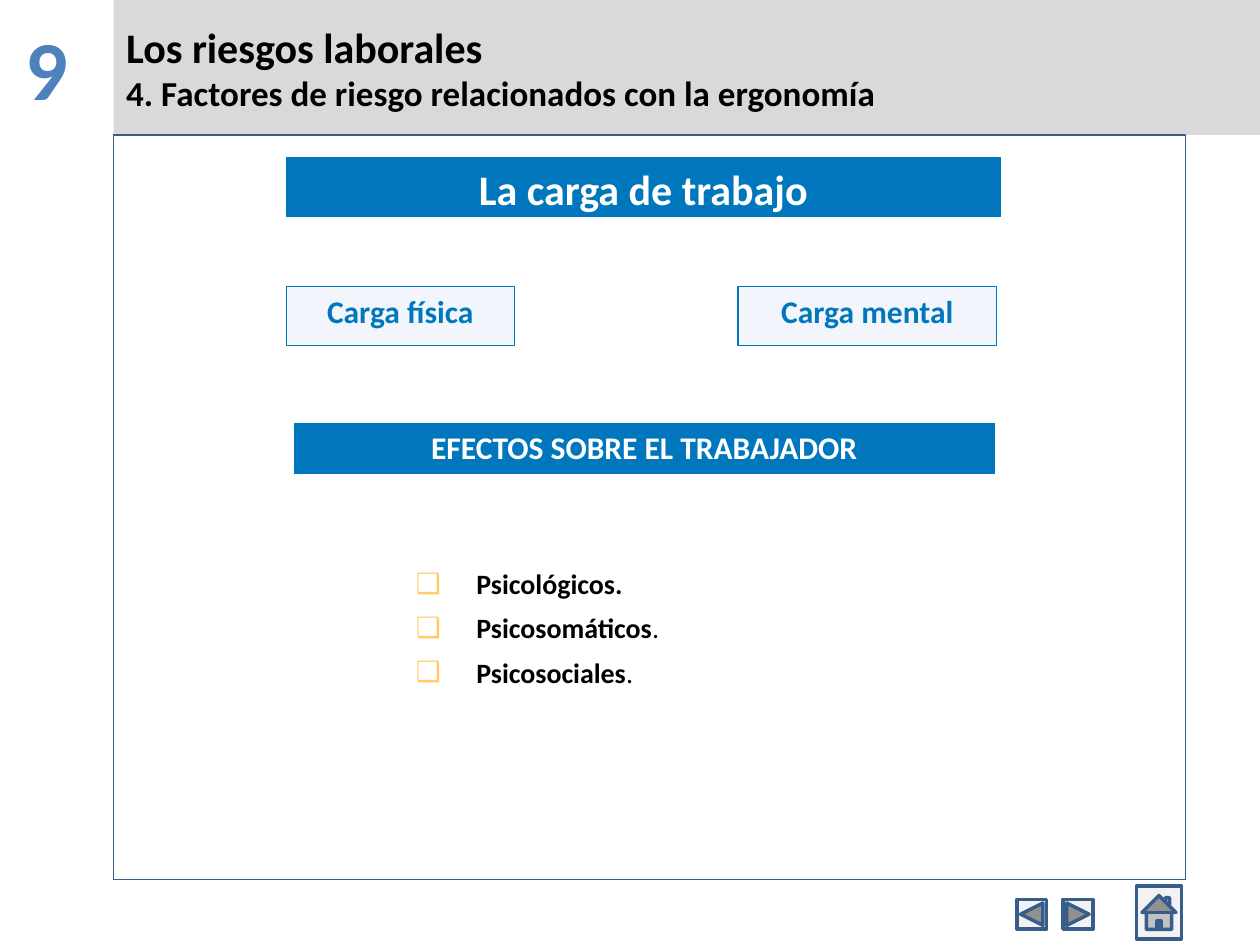
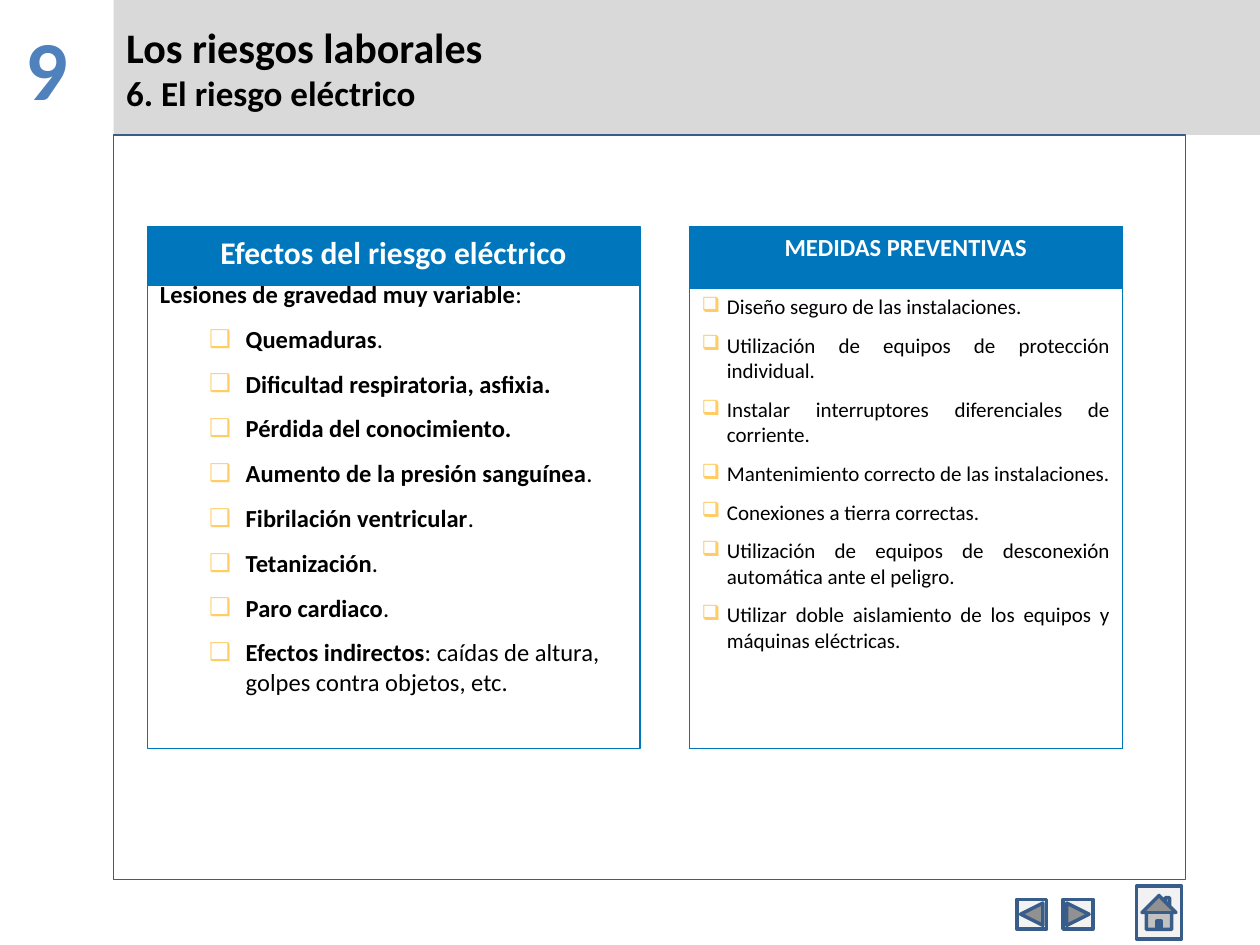
from lxml.etree import SubElement
from pptx import Presentation
from pptx.dml.color import RGBColor
from pptx.enum.shapes import MSO_SHAPE
from pptx.enum.text import MSO_ANCHOR, MSO_AUTO_SIZE, PP_ALIGN
from pptx.oxml.ns import qn
from pptx.util import Cm, Pt

BLUE = RGBColor(0x00, 0x77, 0xBD)
PALE_BLUE = RGBColor(0xF2, 0xF5, 0xFC)
NUMBER_BLUE = RGBColor(0x4F, 0x81, 0xBD)
OUTLINE_BLUE = RGBColor(0x38, 0x5D, 0x8A)
BAND_GRAY = RGBColor(0xD9, 0xD9, 0xD9)
BUTTON_GRAY = RGBColor(0xF2, 0xF2, 0xF2)
BULLET_YELLOW = RGBColor(0xFF, 0xCC, 0x66)
BLACK = RGBColor(0, 0, 0)
WHITE = RGBColor(0xFF, 0xFF, 0xFF)

FONT = "Calibri"
UNIT_TITLE = "Los riesgos laborales"
UNIT_NUMBER = "9"
NAVIGATION_BUTTONS = [
    (MSO_SHAPE.ACTION_BUTTON_BACK_OR_PREVIOUS, (20.5, 18.13, 0.6, 0.6)),
    (MSO_SHAPE.ACTION_BUTTON_FORWARD_OR_NEXT, (21.43, 18.13, 0.6, 0.6)),
    (MSO_SHAPE.ACTION_BUTTON_HOME, (22.91, 17.86, 0.91, 1.07)),
]

WORKER_EFFECTS = [("Psicológicos.", ""), ("Psicosomáticos", "."), ("Psicosociales", ".")]
INJURIES_HEADING = ("Lesiones de gravedad muy variable", ":")
INJURIES = [
    ("Quemaduras", "."),
    ("Dificultad respiratoria, asfixia.", ""),
    ("Pérdida del conocimiento.", ""),
    ("Aumento de la presión sanguínea", "."),
    ("Fibrilación ventricular", "."),
    ("Tetanización", "."),
    ("Paro cardiaco", "."),
    ("Efectos indirectos", ": caídas de altura, golpes contra objetos, etc."),
]
PREVENTIVE_MEASURES = [
    "Diseño seguro de las instalaciones.",
    "Utilización de equipos de protección individual.",
    "Instalar interruptores diferenciales de corriente.",
    "Mantenimiento correcto de las instalaciones.",
    "Conexiones a tierra correctas.",
    "Utilización de equipos de desconexión automática ante el peligro.",
    "Utilizar doble aislamiento de los equipos y máquinas eléctricas.",
]


class UnitDeck:
    def __init__(self):
        self.presentation = Presentation()
        self.presentation.slide_width = Cm(25.4)
        self.presentation.slide_height = Cm(19.05)
        self.slide = None

    def place(self, shape, box):
        shape.left, shape.top, shape.width, shape.height = map(Cm, box)

    def paint(self, shape, fill=None, line=None, width=0.75):
        if fill is None:
            shape.fill.background()
        else:
            shape.fill.solid()
            shape.fill.fore_color.rgb = fill
        if line is None:
            shape.line.fill.background()
        else:
            shape.line.color.rgb = line
            shape.line.width = Pt(width)

    def next_paragraph(self, frame, alignment, gap=0):
        first = frame.paragraphs[0]
        paragraph = frame.add_paragraph() if first.runs else first
        paragraph.alignment = alignment
        paragraph.space_before = Pt(gap if first.runs else 0)
        paragraph.space_after = Pt(gap)
        return paragraph

    def add_run(self, paragraph, text, size, color=BLACK, bold=True):
        run = paragraph.add_run()
        run.text = text
        run.font.name = FONT
        run.font.size = Pt(size)
        run.font.bold = bold
        run.font.color.rgb = color

    def add_line(self, frame, text, size, color=BLACK, alignment=PP_ALIGN.CENTER):
        self.add_run(self.next_paragraph(frame, alignment), text, size, color)

    def set_bullet(self, paragraph, margin, hanging):
        properties = paragraph._p.get_or_add_pPr()
        properties.set("marL", str(Cm(margin)))
        properties.set("indent", str(-Cm(hanging)))
        if hanging:
            color = SubElement(properties, qn("a:buClr"))
            SubElement(color, qn("a:srgbClr"), val=str(BULLET_YELLOW))
            SubElement(properties, qn("a:buChar"), char="❑")
        else:
            SubElement(properties, qn("a:buNone"))

    def add_items(self, frame, items, size, gap, margin, hanging,
                  alignment=PP_ALIGN.JUSTIFY):
        for bold_text, plain_text in items:
            paragraph = self.next_paragraph(frame, alignment, gap)
            self.set_bullet(paragraph, margin, hanging)
            for text, bold in ((bold_text, True), (plain_text, False)):
                if text:
                    self.add_run(paragraph, text, size, bold=bold)

    def add_shape(self, kind, box, fill=None, line=None, width=0.75):
        shape = self.slide.shapes.add_shape(kind, *map(Cm, box))
        shape.shadow.inherit = False
        self.paint(shape, fill, line, width)
        return shape

    def add_label(self, box, text, size, fill=BLUE, color=WHITE):
        shape = self.add_shape(MSO_SHAPE.RECTANGLE, box, fill, BLUE)
        shape.text_frame.vertical_anchor = MSO_ANCHOR.TOP
        self.add_line(shape.text_frame, text, size, color)

    def placeholder_frame(self, placeholder, box, anchor):
        self.place(placeholder, box)
        frame = placeholder.text_frame
        frame.word_wrap = True
        frame.auto_size = MSO_AUTO_SIZE.NONE
        frame.vertical_anchor = anchor
        return frame

    def add_body(self, box, anchor=MSO_ANCHOR.TOP, line=None):
        body = self.slide.placeholders[1]
        self.paint(body, line=line)
        return self.placeholder_frame(body, box, anchor)

    def add_table(self, box, row_heights):
        table = self.slide.shapes.add_table(len(row_heights), 1, *map(Cm, box)).table
        for row, height in zip(table.rows, row_heights):
            row.height = Cm(height)
            cell = row.cells[0]
            for side in ("lnL", "lnR", "lnT", "lnB"):
                border = SubElement(cell._tc.get_or_add_tcPr(), qn(f"a:{side}"),
                                    w=str(Pt(0.45)))
                fill = SubElement(border, qn("a:solidFill"))
                SubElement(fill, qn("a:srgbClr"), val=str(BLUE))
            cell.fill.background()
        header = table.cell(0, 0)
        header.fill.solid()
        header.fill.fore_color.rgb = BLUE
        return table

    def add_slide(self, section):
        layout = self.presentation.slide_layouts[1]
        self.slide = self.presentation.slides.add_slide(layout)
        title = self.slide.shapes.title
        self.paint(title, BAND_GRAY)
        frame = self.placeholder_frame(title, (2.29, 0, 23.11, 2.72), MSO_ANCHOR.MIDDLE)
        self.add_line(frame, UNIT_TITLE, 24, alignment=PP_ALIGN.LEFT)
        self.add_line(frame, section, 20, alignment=PP_ALIGN.LEFT)

        number = self.slide.shapes.add_textbox(*map(Cm, (0, 0, 1.88, 2.54)))
        number.text_frame.word_wrap = True
        number.text_frame.margin_top = Cm(0.33)
        self.add_line(number.text_frame, UNIT_NUMBER, 48, NUMBER_BLUE)

        self.add_shape(MSO_SHAPE.RECTANGLE, (2.29, 2.72, 21.61, 15.01), line=OUTLINE_BLUE)
        for kind, box in NAVIGATION_BUTTONS:
            self.add_shape(kind, box, BUTTON_GRAY, OUTLINE_BLUE, 2)


def build_workload(deck):
    deck.add_slide("4. Factores de riesgo relacionados con la ergonomía")
    deck.add_label((5.77, 3.18, 14.4, 1.19), "La carga de trabajo", 24)
    deck.add_label((5.77, 5.77, 4.6, 1.19), "Carga física", 18, PALE_BLUE, BLUE)
    deck.add_label((14.88, 5.77, 5.21, 1.19), "Carga mental", 18, PALE_BLUE, BLUE)
    effects = deck.add_table((5.94, 8.53, 14.1, 1.02), [1.02])
    deck.add_line(effects.cell(0, 0).text_frame, "EFECTOS SOBRE EL TRABAJADOR", 18, WHITE)
    body = deck.add_body((8.13, 11.3, 9.32, 2.72))
    deck.add_items(body, WORKER_EFFECTS, 16, 3, 1.22, 1.22)


def build_electrical_risk(deck):
    deck.add_slide("6. El riesgo eléctrico")
    body = deck.add_body((2.97, 4.57, 9.93, 10.52), MSO_ANCHOR.MIDDLE, BLUE)
    deck.add_items(body, [INJURIES_HEADING], 14, 4.4, 0, 0, PP_ALIGN.LEFT)
    deck.add_items(body, INJURIES, 14, 4.4, 1.73, 0.74, PP_ALIGN.LEFT)
    deck.add_label((2.97, 4.57, 9.93, 1.19), "Efectos del riesgo eléctrico", 18)
    measures = deck.add_table((13.89, 4.57, 8.74, 10.52), [1.24, 9.28])
    deck.add_line(measures.cell(0, 0).text_frame, "MEDIDAS PREVENTIVAS", 14, WHITE)
    items = [("", measure) for measure in PREVENTIVE_MEASURES]
    deck.add_items(measures.cell(1, 0).text_frame, items, 12, 3.7, 0.51, 0.51)


def main():
    deck = UnitDeck()
    build_workload(deck)
    build_electrical_risk(deck)
    deck.presentation.save("out.pptx")


if __name__ == "__main__":
    main()
